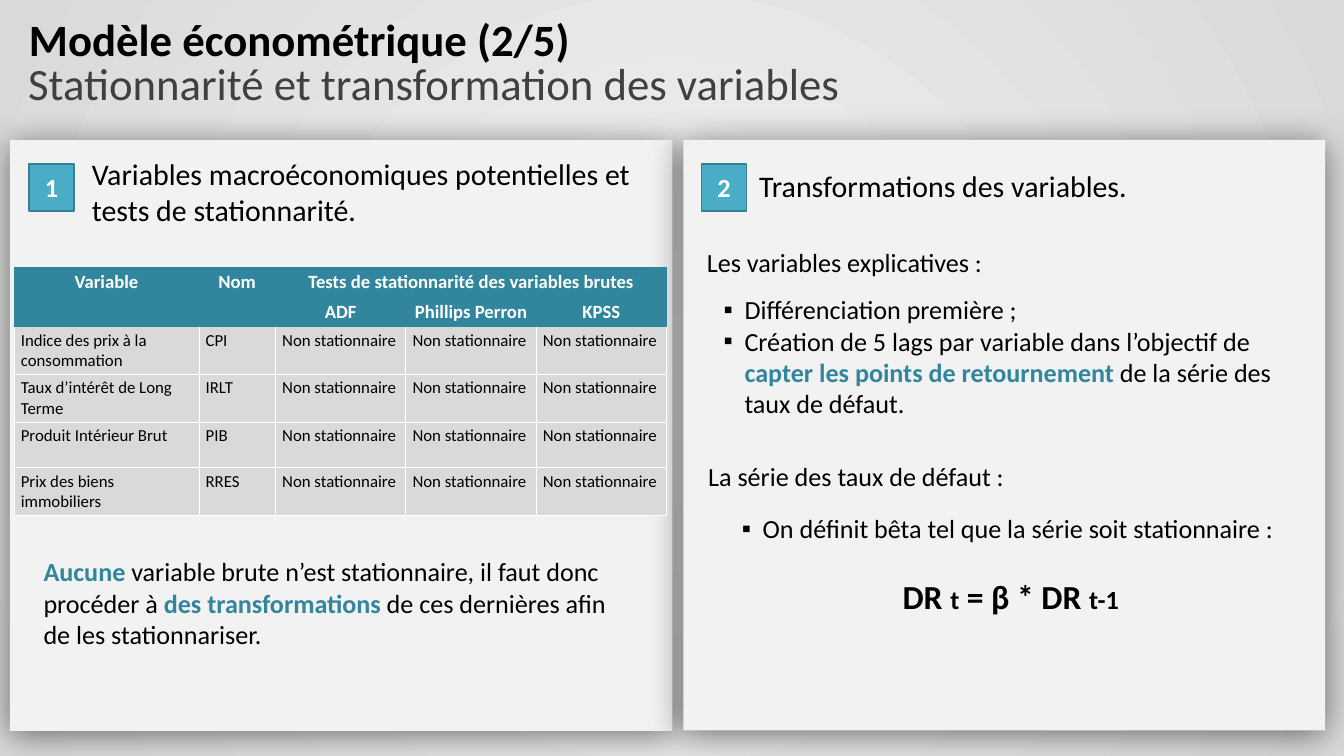
"""Build the slide on stationarity and transformation of the model variables."""
import dataclasses

import lxml.etree
import pptx
import pptx.dml.color
import pptx.enum.shapes
import pptx.enum.text
import pptx.oxml.ns
import pptx.util

Inches = pptx.util.Inches
Align = pptx.enum.text.PP_ALIGN
Anchor = pptx.enum.text.MSO_ANCHOR
qn = pptx.oxml.ns.qn


@dataclasses.dataclass(frozen=True)
class Theme:
    font: str = "Calibri"
    black: str = "000000"
    white: str = "FFFFFF"
    grey: str = "404040"
    teal: str = "31859C"
    badge: str = "4BACC6"
    badge_line: str = "377F92"
    panel: str = "F2F2F2"
    cell: str = "D9D9D9"
    title: int = 48
    formula: int = 36
    heading: int = 32
    body: int = 28
    header: int = 20
    small: int = 18


theme = Theme()
rgb = pptx.dml.color.RGBColor.from_string


def write(para, text, size=theme.body, color=theme.black, bold=False, align=Align.LEFT):
    para.alignment = align
    span = para.add_run()
    span.text = text
    span.font.name = theme.font
    span.font.size = pptx.util.Pt(size)
    span.font.bold = bold
    span.font.color.rgb = rgb(color)


def place(box, left, top, width, height):
    box.left, box.top = Inches(left), Inches(top)
    box.width, box.height = Inches(width), Inches(height)
    frame = box.text_frame
    frame.word_wrap = True
    frame.auto_size = pptx.enum.text.MSO_AUTO_SIZE.NONE
    frame.vertical_anchor = Anchor.TOP
    return frame.paragraphs[0]


deck = pptx.Presentation()
deck.slide_width, deck.slide_height = Inches(20), Inches(11.25)
page = deck.slides.add_slide(deck.slide_layouts[3])
shapes = page.shapes
title, first_list, second_list = page.placeholders

background = page.background.fill
background.gradient()
for stop, color in zip(background.gradient_stops, (theme.panel, theme.cell)):
    stop.color.rgb = rgb(color)
gradient = page.element.find(".//" + qn("a:gradFill"))
gradient.remove(gradient.find(qn("a:lin")))
circle = lxml.etree.SubElement(gradient, qn("a:path"), path="circle")
lxml.etree.SubElement(circle, qn("a:fillToRect"), l="50000", t="50000", r="50000", b="50000")

rectangle = pptx.enum.shapes.MSO_SHAPE.RECTANGLE
for left, top, height in ((0.68, 1.55, 9.86), (10.55, 1.7, 9.55)):
    panel = shapes.add_shape(rectangle, Inches(left), Inches(top), Inches(8.79), Inches(height))
    panel.rotation = 90
    panel.fill.solid()
    panel.fill.fore_color.rgb = rgb(theme.panel)
    panel.line.fill.background()
    panel.shadow.inherit = False
    shadow = lxml.etree.SubElement(
        panel._element.spPr.find(qn("a:effectLst")), qn("a:outerShdw"),
        blurRad=str(pptx.util.Pt(37)), dist=str(pptx.util.Pt(5)), dir="5400000", rotWithShape="0")
    shade = lxml.etree.SubElement(shadow, qn("a:srgbClr"), val=theme.black)
    lxml.etree.SubElement(shade, qn("a:alpha"), val="53000")

write(place(title, 0.33, 0.13, 9.03, 0.91), "Modèle économétrique (2/5)", size=theme.title, bold=True)

for text, size, color, frame in (
    ("Stationnarité et transformation des variables", theme.title, theme.grey, (0.32, 0.78, 13.93, 0.91)),
    ("Variables macroéconomiques potentielles et tests de stationnarité.",
     theme.heading, theme.black, (1.27, 2.27, 8.4, 1.18)),
    ("Transformations des variables.", theme.heading, theme.black, (11.2, 2.45, 8.2, 0.64)),
    ("Les variables explicatives :", theme.body, theme.black, (10.42, 3.62, 8.14, 0.57)),
    ("La série des taux de défaut :", theme.body, theme.black, (10.44, 6.8, 8.14, 0.57)),
):
    write(place(shapes.add_textbox(0, 0, 0, 0), *frame), text, size=size, color=color)

for number, left in (("1", 0.43), ("2", 10.44)):
    badge = shapes.add_shape(rectangle, 0, 0, 0, 0)
    para = place(badge, left, 2.44, 0.67, 0.7)
    badge.text_frame.vertical_anchor = Anchor.MIDDLE
    badge.fill.solid()
    badge.fill.fore_color.rgb = rgb(theme.badge)
    badge.line.color.rgb = rgb(theme.badge_line)
    badge.line.width = pptx.util.Pt(2)
    badge.shadow.inherit = False
    write(para, number, color=theme.white, bold=True, align=Align.CENTER)

headers = (
    ("Variable", "Nom", "Tests de stationnarité des variables brutes", "", ""),
    ("", "", "ADF", "Phillips Perron", "KPSS"),
)
variables = (
    ("Indice des prix à la consommation", "CPI"),
    ("Taux d’intérêt de Long Terme", "IRLT"),
    ("Produit Intérieur Brut", "PIB"),
    ("Prix des biens immobiliers", "RRES"),
)
rows = headers + tuple(names + ("Non stationnaire",) * 3 for names in variables)
table = shapes.add_table(len(rows), 5, Inches(0.21), Inches(3.98), Inches(9.72), Inches(3.67)).table
table._tbl.tblPr.find(qn("a:tableStyleId")).text = "{2D5ABB26-0587-4C30-8999-92F81FD0307C}"
for column, width in zip(table.columns, (2.75, 1.14, 1.94, 1.94, 1.94)):
    column.width = Inches(width)
for index, texts in enumerate(rows):
    is_header = index < len(headers)
    table.rows[index].height = Inches(0.42 if is_header else 0.68)
    for position, text in enumerate(texts):
        cell = table.cell(index, position)
        if not is_header:
            sides = ("lnL", "lnR", "lnB") if index == len(headers) else ("lnL", "lnR", "lnT", "lnB")
            for side in sides:
                border = lxml.etree.SubElement(
                    cell._tc.get_or_add_tcPr(), qn("a:" + side), w=str(pptx.util.Pt(1)))
                paint = lxml.etree.SubElement(border, qn("a:solidFill"))
                lxml.etree.SubElement(paint, qn("a:srgbClr"), val=theme.white)
        cell.fill.solid()
        cell.fill.fore_color.rgb = rgb(theme.teal if is_header else theme.cell)
        para = cell.text_frame.paragraphs[0]
        if is_header and text:
            write(para, text, size=theme.header, color=theme.white, bold=True, align=Align.CENTER)
        elif text:
            write(para, text, size=theme.small)
for start, end in (((0, 0), (1, 0)), ((0, 1), (1, 1)), ((0, 2), (0, 4))):
    table.cell(*start).merge(table.cell(*end))

para = place(shapes.add_textbox(0, 0, 0, 0), 0.55, 8.22, 8.6, 1.51)
write(para, "Aucune", color=theme.teal, bold=True)
write(para, " variable brute n’est stationnaire, il faut donc procéder à ")
write(para, "des transformations ", color=theme.teal, bold=True)
write(para, "de ces dernières afin de les stationnariser.")

place(first_list, 10.67, 4.32, 8.83, 1.99)
place(second_list, 10.94, 7.58, 8.2, 2.12)
for box in (first_list, second_list):
    shapes._spTree.append(box._element)
    box.text_frame.add_paragraph()
    for para in box.text_frame.paragraphs:
        para.space_before = pptx.util.Pt(0)
        properties = para._p.get_or_add_pPr()
        properties.set("marL", str(Inches(0.31)))
        properties.set("indent", str(Inches(-0.31)))

difference, lags = first_list.text_frame.paragraphs
beta, formula = second_list.text_frame.paragraphs
for para in (difference, lags, beta):
    lxml.etree.SubElement(para._p.pPr, qn("a:buFont"), typeface="Arial")
    lxml.etree.SubElement(para._p.pPr, qn("a:buChar"), char="▪")
lxml.etree.SubElement(formula._p.pPr, qn("a:buNone"))
formula.space_before = pptx.util.Pt(34)

write(difference, "Différenciation première ;")
write(lags, "Création de 5 lags par variable dans l’objectif de ")
write(lags, "capter les points de retournement ", color=theme.teal, bold=True)
write(lags, "de la série des taux de défaut.")
write(beta, "On définit bêta tel que la série soit stationnaire :")
for text, size in (("DR ", theme.formula), ("t", theme.body), (" = β * DR ", theme.formula), ("t-1", theme.body)):
    write(formula, text, size=size, bold=True, align=Align.CENTER)

deck.save("out.pptx")
